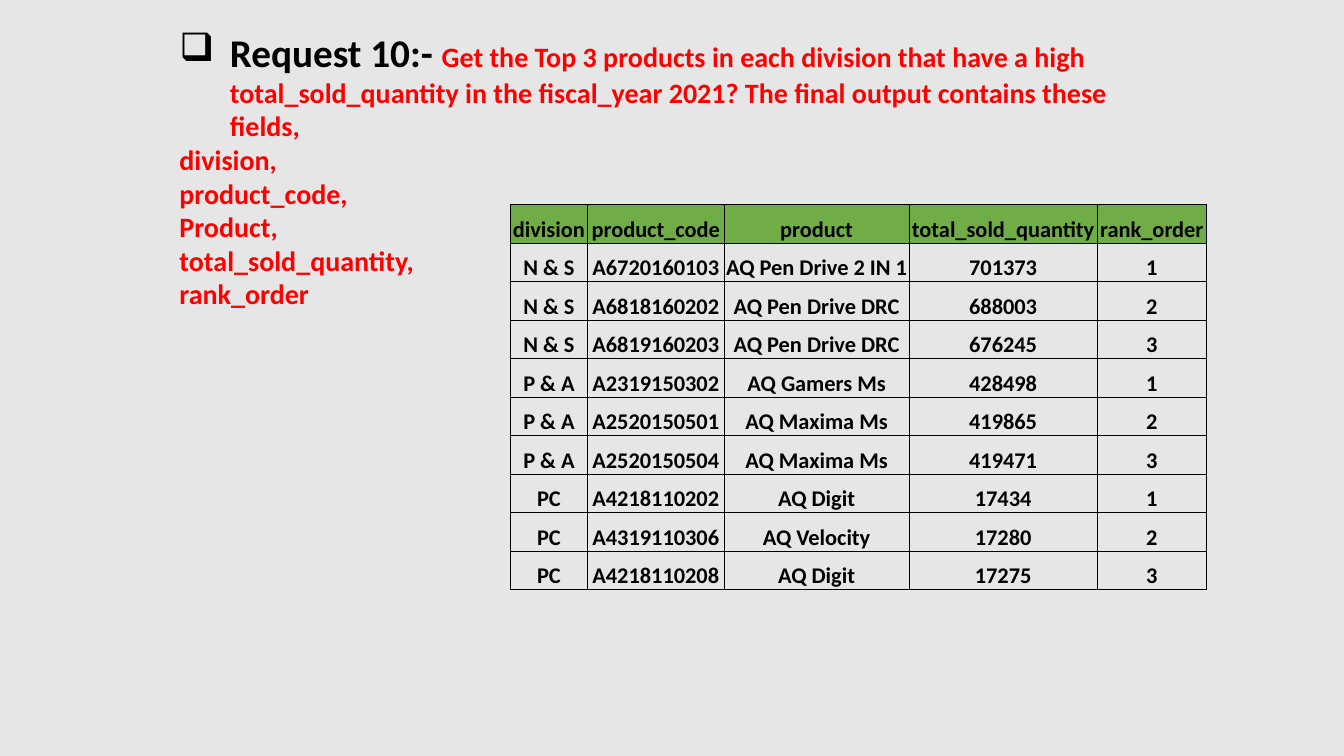
from lxml.etree import SubElement
from pptx import Presentation
from pptx.dml.color import RGBColor
from pptx.enum.text import MSO_ANCHOR as Anchor, MSO_AUTO_SIZE as AutoSize, PP_ALIGN as Align
from pptx.oxml import parse_xml
from pptx.oxml.ns import nsdecls, qn
from pptx.util import Inches, Pt

BLACK, RED, GREEN, GREY = "000000", "FF0000", "70AD47", "E7E6E6"
COLUMN_WIDTHS = [0.77, 1.35, 1.84, 1.86, 1.09]
ROW_HEIGHT = 0.382
FIELDS = ["division,", "product_code,", "Product,", "total_sold_quantity,", "rank_order"]
RESULTS = [
    ("division", "product_code", "product", "total_sold_quantity", "rank_order"),
    ("N & S", "A6720160103", "AQ Pen Drive 2 IN 1", "701373", "1"),
    ("N & S", "A6818160202", "AQ Pen Drive DRC", "688003", "2"),
    ("N & S", "A6819160203", "AQ Pen Drive DRC", "676245", "3"),
    ("P & A", "A2319150302", "AQ Gamers Ms", "428498", "1"),
    ("P & A", "A2520150501", "AQ Maxima Ms", "419865", "2"),
    ("P & A", "A2520150504", "AQ Maxima Ms", "419471", "3"),
    ("PC", "A4218110202", "AQ Digit", "17434", "1"),
    ("PC", "A4319110306", "AQ Velocity", "17280", "2"),
    ("PC", "A4218110208", "AQ Digit", "17275", "3"),
]


def set_font(font, size, color):
    font.name = "Calibri"
    font.size = Pt(size)
    font.bold = True
    font.color.rgb = RGBColor.from_string(color)


prs = Presentation()
prs.slide_width, prs.slide_height = Inches(13.33), Inches(7.5)
slide = prs.slides.add_slide(prs.slide_layouts.get_by_name("Title Only"))
slide.background.fill.solid()
slide.background.fill.fore_color.rgb = RGBColor.from_string(GREY)

# Request with the list of wanted fields
request = slide.shapes.title
request.left, request.top = Inches(1.68), Inches(0.23)
request.width, request.height = Inches(10.12), Inches(2.93)
request_text = request.text_frame
request_text.word_wrap = True
request_text.auto_size = AutoSize.NONE
request_text.vertical_anchor = Anchor.TOP

question = request_text.paragraphs[0]
label = question.add_run()
label.text = "Request 10:- "
set_font(label.font, 28, BLACK)
wording = question.add_run()
wording.text = ("Get the Top 3 products in each division that have a high total_sold_quantity "
                "in the fiscal_year 2021? The final output contains these fields,")
set_font(wording.font, 20, RED)

for field in FIELDS:
    line = request_text.add_paragraph()
    line.text = field
    set_font(line.font, 20, RED)

for paragraph in request_text.paragraphs:
    paragraph.alignment = Align.LEFT
    paragraph.line_spacing = 1.0
    paragraph.space_before = Pt(0)

question_props = question._p.get_or_add_pPr()
question_props.set("marL", str(Inches(0.5)))
question_props.set("indent", str(-Inches(0.5)))
SubElement(question_props, qn("a:buChar"), char="❑")

# Query result
results = slide.shapes.add_table(
    len(RESULTS), len(COLUMN_WIDTHS), Inches(5.06), Inches(2.03),
    Inches(sum(COLUMN_WIDTHS)), Inches(ROW_HEIGHT * len(RESULTS))).table
results.first_row = results.horz_banding = False
for column, width in zip(results.columns, COLUMN_WIDTHS):
    column.width = Inches(width)

for r, record in enumerate(RESULTS):
    for c, value in enumerate(record):
        cell = results.cell(r, c)
        cell.margin_left = cell.margin_right = cell.margin_top = Inches(0.01)
        cell.margin_bottom = 0
        cell.vertical_anchor = Anchor.BOTTOM
        cell.text = value
        entry = cell.text_frame.paragraphs[0]
        entry.alignment = Align.CENTER
        set_font(entry.font, 16, BLACK)
        cell_props = cell._tc.get_or_add_tcPr()
        for side in "LRTB":
            cell_props.append(parse_xml(
                f'<a:ln{side} {nsdecls("a")} w="{Pt(0.5)}"><a:solidFill>'
                f'<a:srgbClr val="{BLACK}"/></a:solidFill></a:ln{side}>'))
        if r == 0:
            cell.fill.solid()
            cell.fill.fore_color.rgb = RGBColor.from_string(GREEN)
        else:
            cell.fill.background()

prs.save("out.pptx")
